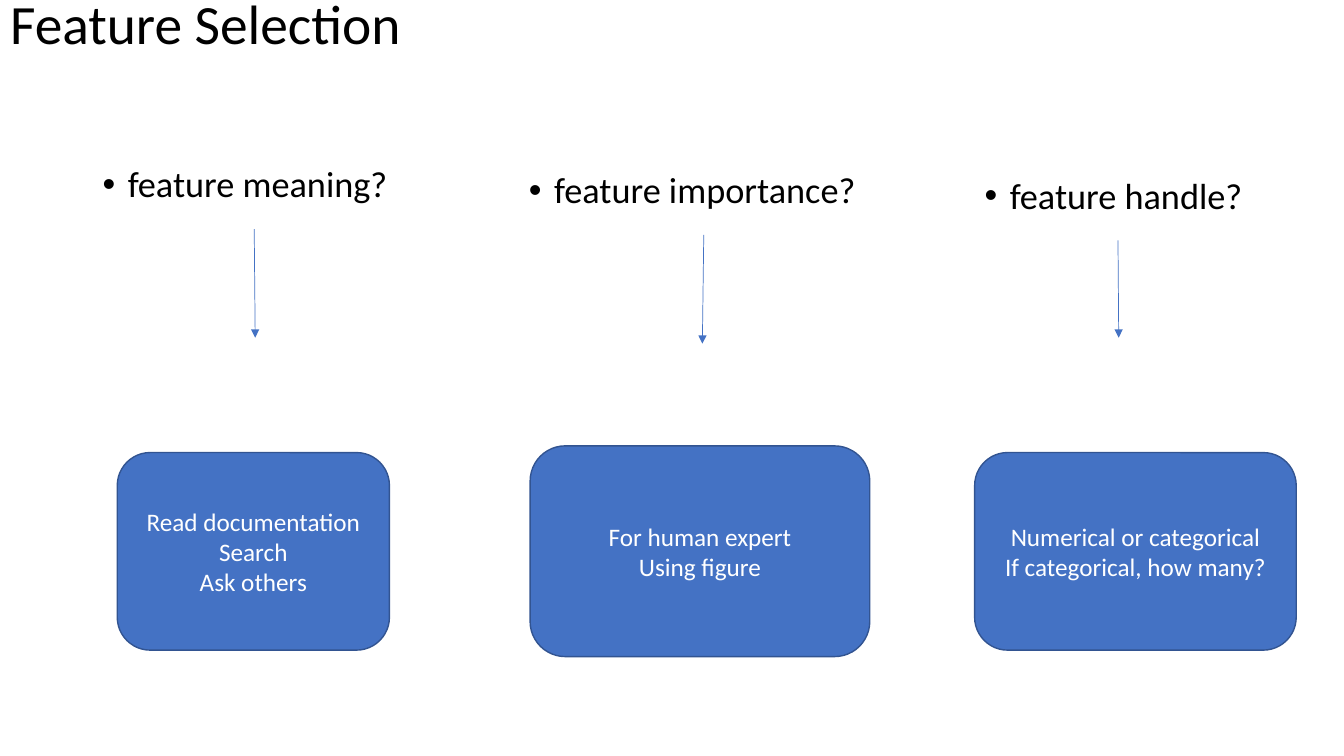
import pptx
import pptx.util
import pptx.dml.color
import pptx.enum.shapes
import pptx.enum.text
import pptx.oxml
import pptx.oxml.ns

Pt = pptx.util.Pt
PP_ALIGN = pptx.enum.text.PP_ALIGN
MSO_ANCHOR = pptx.enum.text.MSO_ANCHOR
COLORS = {"text": "000000", "blue": "4472C4", "edge": "325491", "white": "FFFFFF"}
NS = pptx.oxml.ns.nsdecls("a")


def rgb(name):
    return pptx.dml.color.RGBColor.from_string(COLORS[name])


def style(p, size, color, align):
    p.alignment = align
    for r in p.runs:
        r.font.name = "Calibri"
        r.font.size = Pt(size)
        r.font.color.rgb = rgb(color)


prs = pptx.Presentation()
prs.slide_width, prs.slide_height = Pt(960), Pt(540)
s = prs.slides.add_slide(prs.slide_layouts[5])

title = s.shapes.title
title.left, title.top, title.width, title.height = Pt(0), Pt(0), Pt(828), Pt(37.4)
tf = title.text_frame
tf.text = "Feature Selection"
tf.word_wrap = True
tf.auto_size = pptx.enum.text.MSO_AUTO_SIZE.NONE
tf.vertical_anchor = MSO_ANCHOR.MIDDLE
tf.paragraphs[0].line_spacing = 0.9
style(tf.paragraphs[0], 39.6, "text", PP_ALIGN.LEFT)

columns = [
    ("feature meaning?", (66.2, 115.2, 231, 48),
     (181.6, 163.6, 182.3, 241.2),
     "Read documentation\nSearch\nAsk others", (83.8, 323.3, 194.4, 141.1)),
    ("feature importance?", (370.8, 119.5, 264.2, 48),
     (502.7, 167.8, 501.7, 245.5),
     "For human expert\nUsing figure", (378.7, 318.5, 242.6, 150.5)),
    ("feature handle?", (696.2, 123.4, 205.2, 48),
     (798.6, 171.8, 799.1, 241.2),
     "Numerical or categorical\nIf categorical, how many?", (696.2, 323.3, 229.7, 141.1)),
]

for question, question_box, arrow, answer, answer_box in columns:
    sp = s.shapes.add_textbox(*map(Pt, question_box))
    tf = sp.text_frame
    tf.word_wrap = True
    tf.text = question
    p = tf.paragraphs[0]
    p.line_spacing = 0.9
    p.space_before = Pt(10)
    style(p, 25.9, "text", PP_ALIGN.LEFT)
    pPr = p._p.get_or_add_pPr()
    pPr.set("marL", str(Pt(18)))
    pPr.set("indent", str(-Pt(18)))
    pPr.append(pptx.oxml.parse_xml(f'<a:buFont {NS} typeface="Arial"/>'))
    pPr.append(pptx.oxml.parse_xml(f'<a:buChar {NS} char="•"/>'))

    cx = s.shapes.add_connector(pptx.enum.shapes.MSO_CONNECTOR.STRAIGHT, *map(Pt, arrow))
    cx.line.color.rgb = rgb("blue")
    cx.line.width = Pt(0.5)
    cx.line._get_or_add_ln().append(pptx.oxml.parse_xml(f'<a:tailEnd {NS} type="triangle"/>'))
    cx._element.spPr.append(pptx.oxml.parse_xml(f'<a:effectLst {NS}/>'))

    sp = s.shapes.add_shape(pptx.enum.shapes.MSO_SHAPE.ROUNDED_RECTANGLE, *map(Pt, answer_box))
    sp.shadow.inherit = False
    sp.fill.solid()
    sp.fill.fore_color.rgb = rgb("blue")
    sp.line.color.rgb = rgb("edge")
    sp.line.width = Pt(1)
    tf = sp.text_frame
    tf.word_wrap = True
    tf.vertical_anchor = MSO_ANCHOR.MIDDLE
    tf.text = answer
    for p in tf.paragraphs:
        style(p, 18, "white", PP_ALIGN.CENTER)

prs.save("out.pptx")
